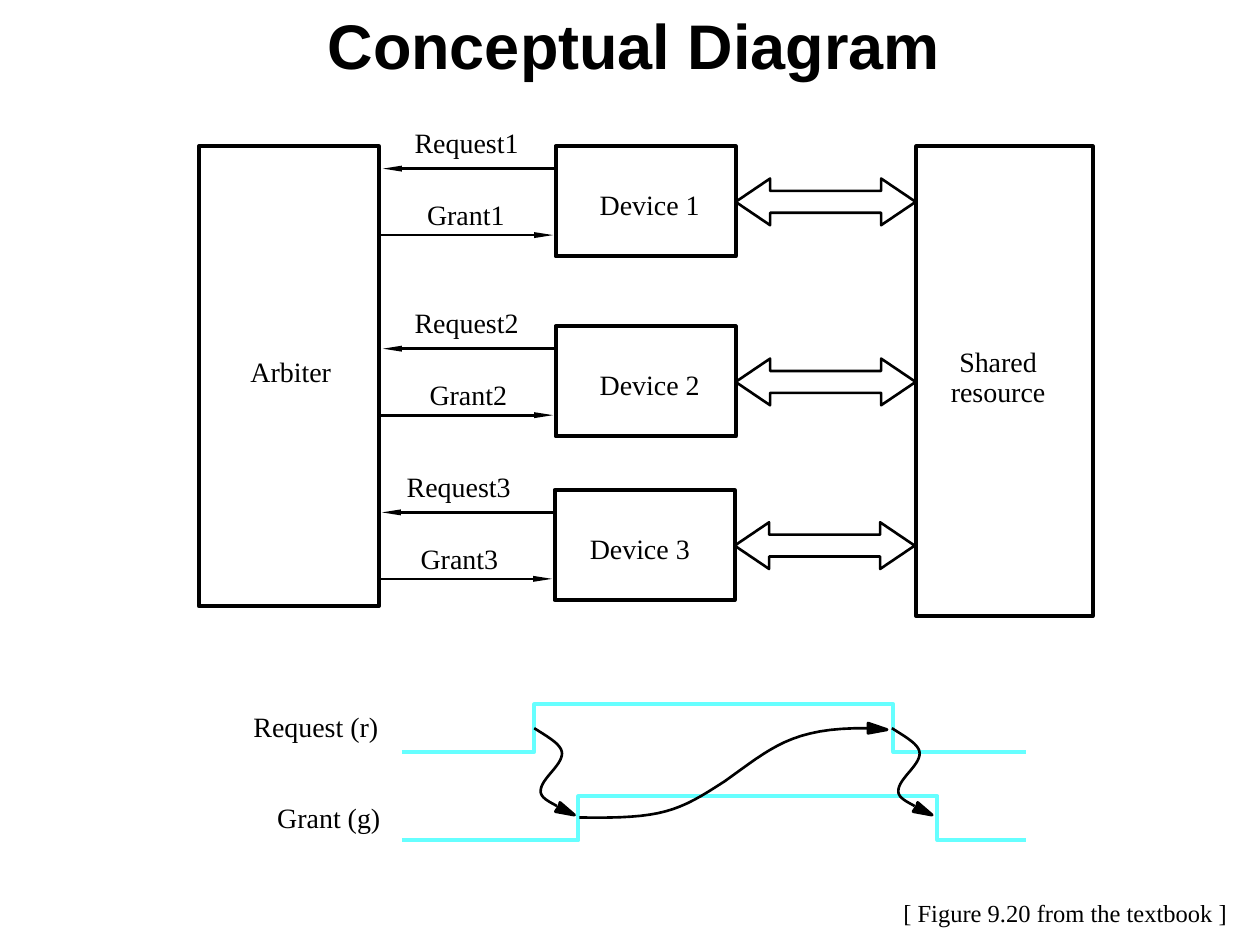
from lxml import etree
from pptx import Presentation
from pptx import util as u
from pptx.dml.color import RGBColor
from pptx.enum import shapes, text
from pptx.oxml.ns import qn

# Content: all positions in centimetres
COLORS = {"ink": "000000", "signal": "66FFFF"}
SERIF, SANS = "Times New Roman", "Arial"
ARBITER = (4.01, 2.95, 3.63, 9.27)
SHARED = (18.47, 2.95, 3.56, 9.47)
DEVICE_W, DEVICE_H = 3.63, 2.22
# number, device left, top, then left of the device, request and grant labels
DEVICES = [
    (1, 11.2, 2.95, 12.09, 8.36, 8.61),
    (2, 11.2, 6.58, 12.09, 8.36, 8.66),
    (3, 11.18, 9.88, 11.89, 8.2, 8.48),
]
LABELS = [
    ("Arbiter", 5.05, 7.14, 1.98),
    ("Request (r)", 5.11, 14.3, 3.02),
    ("Grant (g)", 5.59, 16.13, 2.49),
]
# rise, fall, high level, low level
WAVES = [(10.77, 18.01, 14.2, 15.16), (11.66, 18.9, 16.05, 16.94)]
WAVE_START, WAVE_END = 8.1, 20.68
# Bézier chains: start, then two controls and an end for each piece
RESPONSE = [(0, 0), (0.28, 0.18), (0.56, 0.33), (0.56, 0.51),
            (0.56, 0.76), (0.13, 1.02), (0.13, 1.27),
            (0.13, 1.4), (0.28, 1.47), (0.46, 1.57)]
RESPONSE_HEAD = [(0.43, 1.68), (0.81, 1.75), (0.52, 1.5), (0.51, 1.56)]
RESPONSE_STARTS = [(10.77, 14.68), (17.98, 14.68)]
RELEASE = [(11.68, 16.48), (13.36, 16.51), (13.67, 16.36), (14.61, 15.75),
           (15.54, 15.09), (15.95, 14.66), (17.5, 14.68)]
RELEASE_HEAD = [(17.5, 14.58), (17.88, 14.71), (17.5, 14.78)]
HEAD_LENGTH, HEAD_HALF = 0.38, 0.06

prs = Presentation()
prs.slide_width, prs.slide_height = u.Cm(25.4), u.Cm(19.05)
slide = prs.slides.add_slide(prs.slide_layouts[6])


def rgb(name):
    return RGBColor.from_string(COLORS[name])


def style(shape, weight, color="ink", filled=False):
    shape.shadow.inherit = False
    if filled:
        shape.fill.solid()
        shape.fill.fore_color.rgb = rgb(color)
    else:
        shape.fill.background()
    if weight:
        shape.line.color.rgb = rgb(color)
        shape.line.width = u.Pt(weight)
    else:
        shape.line.fill.background()


def write(words, left, top, width, height=0.69, size=16, font=SERIF, bold=False,
          align=text.PP_ALIGN.LEFT, inset=(0, 0), spacing=None):
    frame = slide.shapes.add_textbox(*map(u.Cm, (left, top, width, height))).text_frame
    frame.word_wrap = True
    frame.margin_left = frame.margin_right = u.Cm(inset[0])
    frame.margin_top = frame.margin_bottom = u.Cm(inset[1])
    frame.text = words
    for paragraph in frame.paragraphs:
        paragraph.alignment = align
        if spacing:
            paragraph.line_spacing = u.Pt(spacing)
        for run in paragraph.runs:
            run.font.size, run.font.name, run.font.bold = u.Pt(size), font, bold
            run.font.color.rgb = rgb("ink")


def preset(kind, left, top, width, height, weight):
    shape = slide.shapes.add_shape(kind, *map(u.Cm, (left, top, width, height)))
    style(shape, weight)
    return shape


def outline(points, weight, closed=False, color="ink"):
    points = [(u.Cm(x), u.Cm(y)) for x, y in points]
    builder = slide.shapes.build_freeform(*points[0])
    builder.add_line_segments(points[1:], close=closed)
    style(builder.convert_to_shape(), weight, color, filled=closed)


def curve(chain, steps=16):
    points = [chain[0]]
    for i in range(0, len(chain) - 1, 3):
        for step in range(1, steps + 1):
            t = step / steps
            weights = ((1 - t) ** 3, 3 * t * (1 - t) ** 2, 3 * t * t * (1 - t), t ** 3)
            points.append(tuple(sum(w * p[axis] for w, p in zip(weights, chain[i:i + 4]))
                                for axis in (0, 1)))
    outline(points, 1.5)


def signal_arrow(start, tip, y):
    base = tip + HEAD_LENGTH * (1 if start > tip else -1)
    line = slide.shapes.add_connector(shapes.MSO_CONNECTOR.STRAIGHT,
                                      *map(u.Cm, (start, y, base, y)))
    line.line.color.rgb = rgb("ink")
    line.line.width = u.Pt(1.5)
    etree.SubElement(line._element.spPr, qn("a:effectLst"))
    outline([(base, y - HEAD_HALF), (tip, y), (base, y + HEAD_HALF)], 0, closed=True)


def shift(points, origin):
    return [(x + origin[0], y + origin[1]) for x, y in points]


# Title and source note
write("Conceptual Diagram", 0.08, 0, 25.4, 1.9, size=36, font=SANS, bold=True,
      align=text.PP_ALIGN.CENTER, inset=(0.25, 0.13))
write("[ Figure 9.20 from the textbook ]", 17.96, 17.98, 7.2, 0.86, size=14,
      inset=(0.25, 0.13))

# Arbiter and shared resource
for block in (ARBITER, SHARED):
    preset(shapes.MSO_SHAPE.RECTANGLE, *block, 2.25)
for label in LABELS:
    write(*label)
write("Shared\nresource", 18.87, 7.04, 2.5, 1.2, align=text.PP_ALIGN.CENTER, spacing=16.7)

# Devices with their request, grant and resource arrows
arbiter_right = ARBITER[0] + ARBITER[2]
for number, left, top, device_x, request_x, grant_x in DEVICES:
    preset(shapes.MSO_SHAPE.RECTANGLE, left, top, DEVICE_W, DEVICE_H, 2.25)
    write(f"Device {number}", device_x, top + 0.83, 2.21)
    write(f"Request{number}", request_x, top - 0.41, 2.49)
    write(f"Grant{number}", grant_x, top + 1.03, 1.83)
    signal_arrow(left, left - 3.48, top + 0.45)
    signal_arrow(arbiter_right, left - 0.05, top + 1.79)
    access = preset(shapes.MSO_SHAPE.LEFT_RIGHT_ARROW, left + DEVICE_W, top + 0.65,
                    3.63, 0.94, 1.5)
    access.adjustments[0], access.adjustments[1] = 0.47, 0.74

# Timing waveforms
for rise, fall, high, low in WAVES:
    outline([(WAVE_START, low), (rise, low), (rise, high), (fall, high), (fall, low),
             (WAVE_END, low)], 2.25, color="signal")

# Cause and effect curves
for origin in RESPONSE_STARTS:
    curve(shift(RESPONSE, origin))
    outline(shift(RESPONSE_HEAD, origin), 1.75, closed=True)
curve(RELEASE)
outline(RELEASE_HEAD, 1.75, closed=True)

prs.save("out.pptx")
